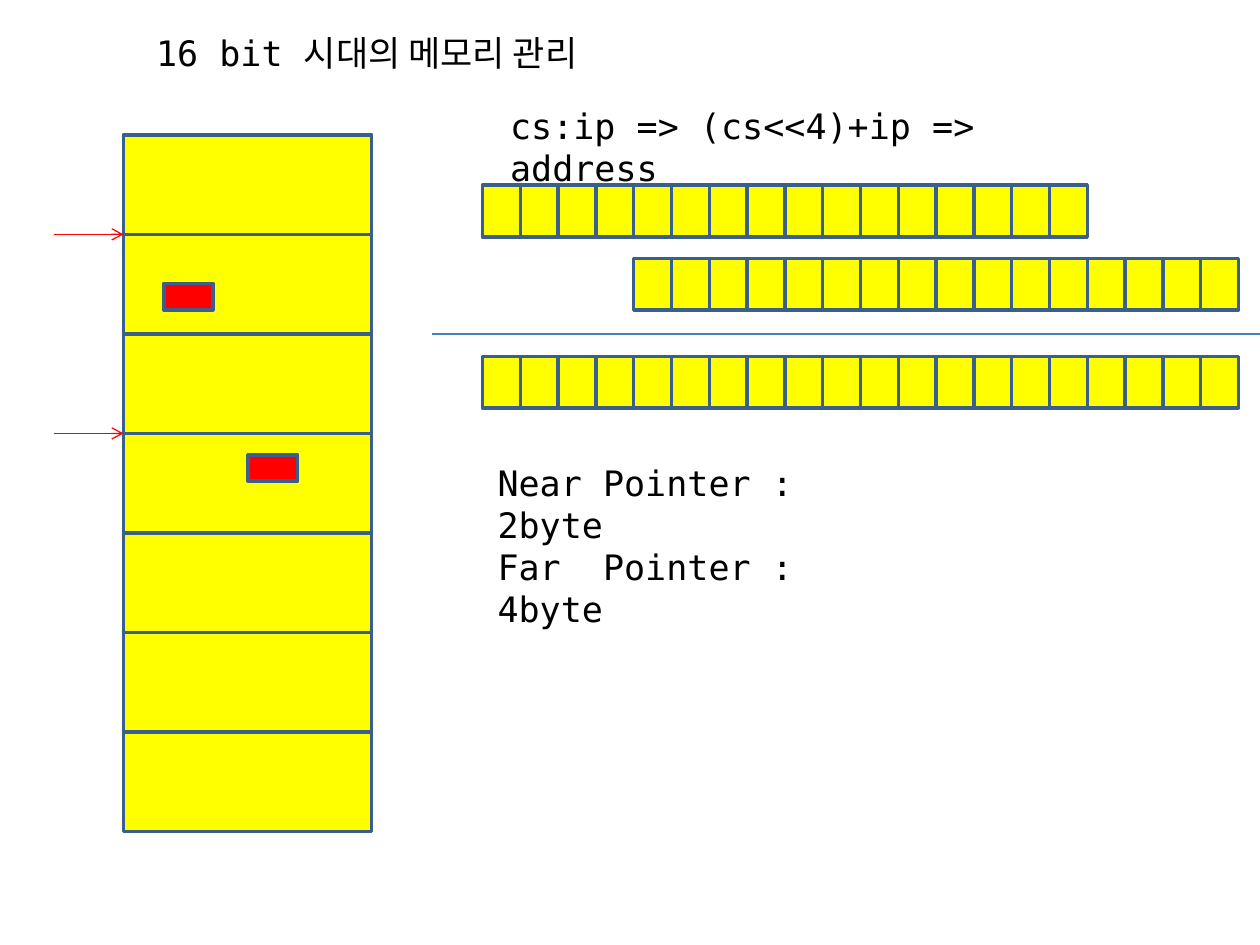
from lxml import etree
from pptx import Presentation
from pptx import util as u
from pptx.dml.color import RGBColor
from pptx.enum import shapes, text
from pptx.oxml import ns

YELLOW = RGBColor(0xFF, 0xFF, 0x00)
RED = RGBColor(0xFF, 0x00, 0x00)
BORDER = RGBColor(0x3A, 0x5F, 0x8C)
RULE = RGBColor(0x4B, 0x7E, 0xBC)
BLACK = RGBColor(0x00, 0x00, 0x00)

SEGMENT_LEFT, SEGMENT_TOP = 0.98, 1.07
SEGMENT_W, SEGMENT_H = 1.97, 0.79
BIT_W, BIT_H = 0.3, 0.41


class Sketch:
    """Holds the style and the slide being drawn."""

    font = {"name": "DejaVu Sans Mono", "size": u.Pt(20)}

    def __init__(self, slide):
        self.s = slide

    def box(self, x, y, w, h, fill=YELLOW):
        sp = self.s.shapes.add_shape(
            shapes.MSO_SHAPE.RECTANGLE, *map(u.Inches, (x, y, w, h)))
        sp.shadow.inherit = False
        sp.fill.solid()
        sp.fill.fore_color.rgb = fill
        sp.line.color.rgb = BORDER
        sp.line.width = u.Pt(2)

    def bits(self, x, y, count):
        """Draw a register as a row of one-bit boxes."""
        for i in range(count):
            self.box(x + i * BIT_W, y, BIT_W, BIT_H)

    def line(self, x1, x2, y, color, arrow=False):
        c = self.s.shapes.add_connector(
            shapes.MSO_CONNECTOR.STRAIGHT, *map(u.Inches, (x1, y, x2, y)))
        c.line.color.rgb = color
        c.line.width = u.Pt(0.75)
        if arrow:
            etree.SubElement(c.line._get_or_add_ln(), ns.qn("a:tailEnd"), type="arrow")
        etree.SubElement(c._element.spPr, ns.qn("a:effectLst"))

    def label(self, x, y, w, h, *lines):
        tf = self.s.shapes.add_textbox(*map(u.Inches, (x, y, w, h))).text_frame
        tf.word_wrap = True
        tf.auto_size = text.MSO_AUTO_SIZE.SHAPE_TO_FIT_TEXT
        for i, words in enumerate(lines):
            p = tf.add_paragraph() if i else tf.paragraphs[0]
            r = p.add_run()
            r.text = words
            for name, value in self.font.items():
                setattr(r.font, name, value)
            r.font.color.rgb = BLACK


def main():
    prs = Presentation()
    prs.slide_width, prs.slide_height = u.Inches(10), u.Inches(7.5)
    sketch = Sketch(prs.slides.add_slide(prs.slide_layouts[6]))

    sketch.label(1.14, 0.2, 3.99, 0.44, "16 bit 시대의 메모리 관리")

    # Memory segments, with an arrow at the base of two of them
    for i in range(7):
        sketch.box(SEGMENT_LEFT, SEGMENT_TOP + i * SEGMENT_H, SEGMENT_W, SEGMENT_H)
    for i in (1, 3):
        sketch.line(0.43, SEGMENT_LEFT, SEGMENT_TOP + i * SEGMENT_H, RED, arrow=True)
    for x, y in ((1.3, 2.25), (1.97, 3.61)):
        sketch.box(x, y, 0.39, 0.21, RED)

    # Segment shifted by four bits + offset = 20-bit address
    sketch.bits(3.83, 1.47, 16)
    sketch.label(3.95, 0.78, 4.83, 0.44, "cs:ip => (cs<<4)+ip => address")
    sketch.bits(3.83 + 4 * BIT_W, 2.05, 16)
    sketch.line(3.43, 10.2, 2.65, RULE)
    sketch.bits(3.83, 2.83, 20)

    sketch.label(3.85, 3.61, 3.29, 0.77,
                 "Near Pointer : 2byte", "Far  Pointer : 4byte")

    prs.save("out.pptx")


if __name__ == "__main__":
    main()
